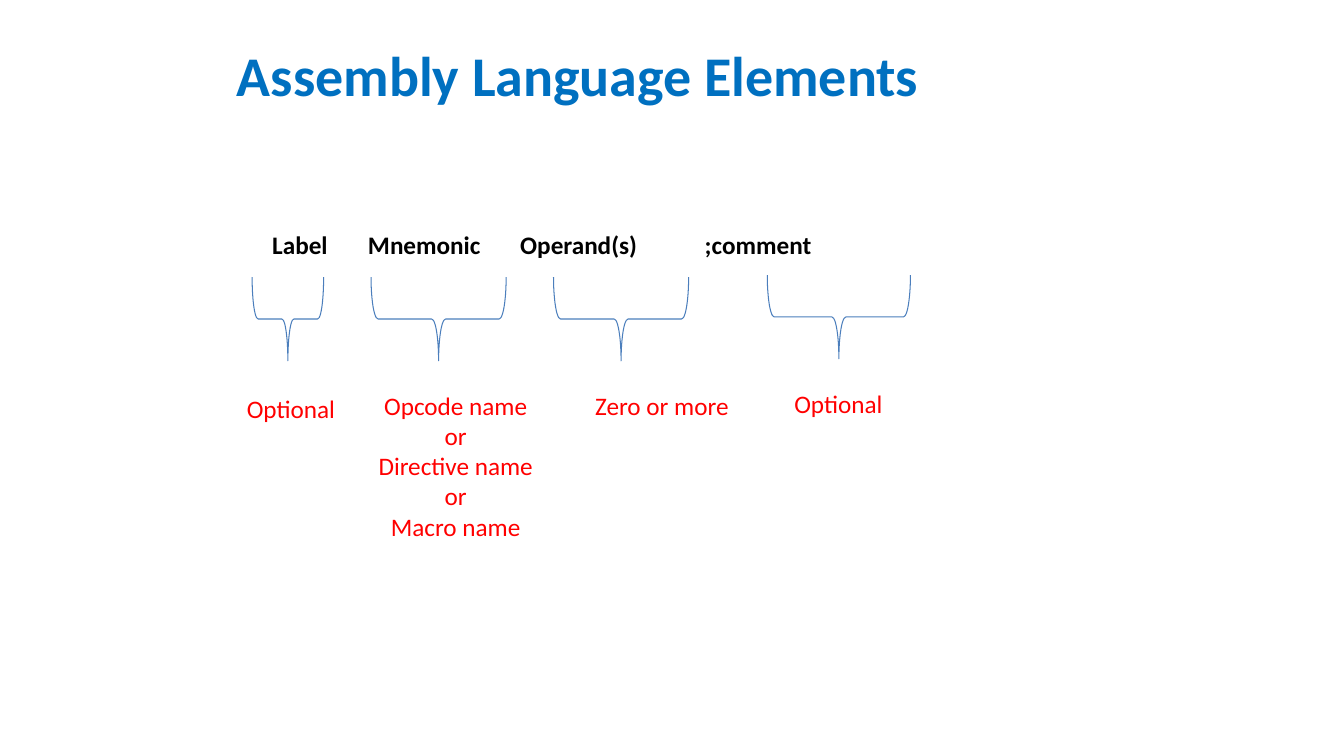
from pptx import Presentation
from pptx.dml.color import RGBColor
from pptx.enum.shapes import MSO_SHAPE as Shape
from pptx.enum.text import PP_ALIGN as Align
from pptx.oxml.xmlchemy import OxmlElement as Node
from pptx.util import Inches, Pt


def color(code):
    """Turn a hex string into a colour."""
    return RGBColor.from_string(code)


class Board:
    """Hold the style and the current slide."""

    font = "Calibri"
    blue, black, red, edge = "0070C0", "000000", "FF0000", "4B7EBC"

    def __init__(self, deck):
        """Add a blank slide to the deck."""
        self.slide = deck.slides.add_slide(deck.slide_layouts[6])

    def text(self, words, box, tint, size=18, bold=False, align=Align.LEFT, inset=True):
        """Add a text box and return its frame."""
        frame = self.slide.shapes.add_textbox(*map(Inches, box)).text_frame
        frame.word_wrap = True
        if not inset:
            frame.margin_left = frame.margin_right = 0
            frame.margin_top = frame.margin_bottom = 0
        frame.text = words
        for para in frame.paragraphs:
            para.alignment = align
            for run in para.runs:
                font = run.font
                font.name, font.size, font.bold = self.font, Pt(size), bold
                font.color.rgb = color(tint)
        return frame

    def row(self, words, box, stops):
        """Add one bold line whose words stand at tab stops."""
        frame = self.text("\t".join(words), box, self.black, bold=True, inset=False)
        tabs = Node("a:tabLst")
        for stop in stops:
            tab = Node("a:tab")
            tab.set("pos", str(Inches(stop)))
            tab.set("algn", "l")
            tabs.append(tab)
        frame.paragraphs[0]._p.get_or_add_pPr().append(tabs)

    def brace(self, left, top, span, depth=0.83):
        """Add a brace that opens upward over the given span."""
        shift = (span - depth) / 2
        box = left + shift, top - shift, depth, span
        shape = self.slide.shapes.add_shape(Shape.RIGHT_BRACE, *map(Inches, box))
        shape.rotation = 90
        shape.shadow.inherit = False
        shape.fill.background()
        shape.line.color.rgb = color(self.edge)
        shape.line.width = Pt(0.75)


deck = Presentation()
deck.slide_width, deck.slide_height = Inches(13.33), Inches(7.5)
board = Board(deck)

board.text("Assembly Language Elements", (2.35, 0.4, 8.62, 1.19),
           board.blue, size=40, bold=True, inset=False)
board.row(["Label", "Mnemonic", "Operand(s)", ";comment"],
          (2.7, 2.28, 6.46, 0.3), [0.95, 2.46, 4.29])

for left, top, span in [(2.5, 2.75, 0.71), (3.68, 2.75, 1.34),
                        (5.49, 2.75, 1.34), (7.61, 2.73, 1.42)]:
    board.brace(left, top, span)

names = "Opcode name\nor\nDirective name\nor\nMacro name"
for words, box, align in [
    ("Optional", (2.35, 3.85, 1.53, 0.4), Align.LEFT),
    (names, (3.42, 3.82, 2.2, 1.62), Align.CENTER),
    ("Zero or more", (5.57, 3.82, 1.99, 0.4), Align.CENTER),
    ("Optional", (7.78, 3.8, 1.53, 0.4), Align.LEFT),
]:
    board.text(words, box, board.red, align=align)

deck.save("out.pptx")
